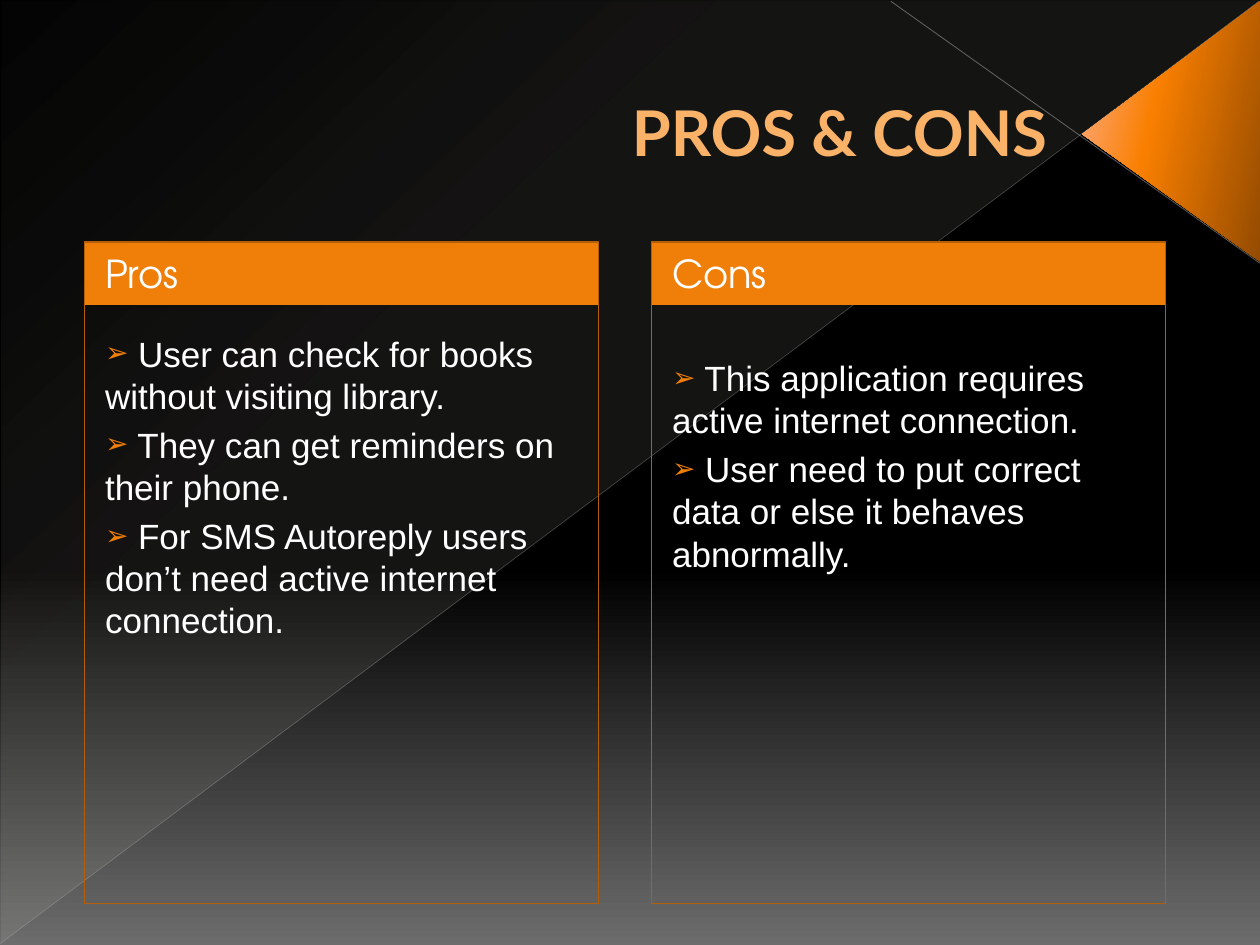
from lxml.etree import SubElement
from pptx import Presentation
from pptx.dml.color import RGBColor
from pptx.enum.shapes import MSO_CONNECTOR as Connector, MSO_SHAPE as Shape
from pptx.enum.text import MSO_ANCHOR as Anchor, PP_ALIGN as Align
from pptx.oxml.ns import qn
from pptx.util import Pt

ORANGE = "F07F09"
WHITE = "FFFFFF"
PANEL_TOP = 138.24
PANEL_WIDTH = 293.76
PANEL_HEIGHT = 378
BAND_HEIGHT = 36
TEXT_INSET = 11.8

PANELS = [
    (48.24, "Pros", 51.7, [
        " User can check for books without visiting library.",
        " They can get reminders on their phone.",
        " For SMS Autoreply users don’t need active internet connection.",
    ]),
    (372.24, "Cons", 65.7, [
        " This application requires active internet connection.",
        " User need to put correct data or else it behaves abnormally.",
    ]),
]


def color(hex_value):
    return RGBColor.from_string(hex_value)


def apply(target, values):
    for name, value in values.items():
        setattr(target, name, value)


def add_color(parent, hex_value, opacity=100):
    srgb = SubElement(parent, qn("a:srgbClr"), val=hex_value)
    if opacity < 100:
        SubElement(srgb, qn("a:alpha"), val=str(opacity * 1000))


def fill_gradient(fill, owner, stops, angle):
    fill.gradient()
    fill.gradient_angle = 360 - angle
    stop_list = owner.find(".//" + qn("a:gsLst"))
    for old_stop in list(stop_list):
        stop_list.remove(old_stop)
    for position, hex_value, opacity in stops:
        stop = SubElement(stop_list, qn("a:gs"), pos=str(position * 1000))
        add_color(stop, hex_value, opacity)


def add_block(slide, kind, box, fill=None, line=None):
    block = slide.shapes.add_shape(kind, *map(Pt, box))
    block.shadow.inherit = False
    if fill:
        block.fill.solid()
        block.fill.fore_color.rgb = color(fill)
    else:
        block.fill.background()
    if line:
        block.line.color.rgb = color(line)
        block.line.width = Pt(0.75)
    else:
        block.line.fill.background()
    return block


def add_facet(slide, kind, box, stops, angle, rotation=0):
    facet = add_block(slide, kind, box)
    facet.rotation = rotation
    facet._element.spPr.find(qn("a:xfrm")).set("flipV", "1")
    fill_gradient(facet.fill, facet._element, stops, angle)
    return facet


def add_ray(slide, ends, hex_value, width, opacity):
    ray = slide.shapes.add_connector(Connector.STRAIGHT, *map(Pt, ends))
    ray.line.width = Pt(width)
    ray.line.color.rgb = color(hex_value)
    properties = ray._element.spPr
    srgb = properties.find(".//" + qn("a:srgbClr"))
    SubElement(srgb, qn("a:alpha"), val=str(opacity * 1000))
    SubElement(properties, qn("a:effectLst"))


def add_title(slide, words):
    title = slide.shapes.title
    slide.shapes._spTree.append(title._element)
    apply(title, {"left": Pt(23.76), "top": Pt(41.76),
                  "width": Pt(581.76), "height": Pt(66.24)})
    title.text_frame.vertical_anchor = Anchor.MIDDLE
    paragraph = title.text_frame.paragraphs[0]
    paragraph.alignment = Align.RIGHT
    run = paragraph.add_run()
    run.text = words
    properties = run._r.get_or_add_rPr()
    outline = SubElement(properties, qn("a:ln"), w=str(Pt(0.5)))
    add_color(SubElement(outline, qn("a:solidFill")), "A65806")
    apply(run.font, {"name": "Lato", "size": Pt(36), "bold": True})
    run.font.color.rgb = color("F9B268")
    properties.insert(0, outline)


def add_bullet(paragraph):
    properties = paragraph._p.get_or_add_pPr()
    properties.set("marL", "0")
    properties.set("indent", "0")
    add_color(SubElement(properties, qn("a:buClr")), ORANGE)
    SubElement(properties, qn("a:buSzPct"), val="80000")
    SubElement(properties, qn("a:buFont"), typeface="Arial")
    SubElement(properties, qn("a:buChar"), char="➢")


def write_lines(block, lines, font_name, size, top, anchor, bulleted=False):
    frame = block.text_frame
    apply(frame, {"word_wrap": True, "vertical_anchor": anchor,
                  "margin_left": Pt(TEXT_INSET), "margin_right": Pt(7.2),
                  "margin_top": Pt(top), "margin_bottom": Pt(0)})
    for index, words in enumerate(lines):
        paragraph = frame.add_paragraph() if index else frame.paragraphs[0]
        paragraph.alignment = Align.LEFT
        if bulleted:
            apply(paragraph, {"line_spacing": Pt(24), "space_after": Pt(4)})
            add_bullet(paragraph)
        run = paragraph.add_run()
        run.text = words
        apply(run.font, {"name": font_name, "size": Pt(size)})
        run.font.color.rgb = color(WHITE)


def add_panel(slide, left, heading, text_top, points):
    band = add_block(slide, Shape.RECTANGLE,
                     (left, PANEL_TOP, PANEL_WIDTH, BAND_HEIGHT), fill=ORANGE)
    write_lines(band, [heading], "TeX Gyre Adventor", 22, 0, Anchor.MIDDLE)
    frame = add_block(slide, Shape.RECTANGLE,
                      (left, PANEL_TOP, PANEL_WIDTH, PANEL_HEIGHT), line="B45F07")
    write_lines(frame, points, "Arial", 20, text_top, Anchor.TOP, bulleted=True)


def add_backdrop(slide):
    fill_gradient(slide.background.fill, slide._element,
                  [(0, "000000", 100), (60, "000000", 100), (100, "6C6C6C", 100)], 90)
    add_facet(slide, Shape.RIGHT_TRIANGLE, (0.72, 0.72, 719.28, 538.56),
              [(0, "E3DED1", 10), (70, "E3DED1", 8), (100, "E3DED1", 1)], 133)
    corner = add_facet(slide, Shape.ISOSCELES_TRIANGLE, (594.72, 24.48, 149.04, 101.52),
                       [(0, "944B00", 100), (60, "F97F00", 100), (100, "FFAE8D", 100)],
                       258, rotation=90)
    corner.adjustments[0] = 0.51
    add_ray(slide, (720, 150.48, 509.04, 0.72), "BFBFBF", 0.47, 45)
    add_ray(slide, (0, 539.28, 719.28, 0.72), "B6B6B6", 0.39, 35)


def main():
    deck = Presentation()
    apply(deck, {"slide_width": Pt(720), "slide_height": Pt(540)})
    slide = deck.slides.add_slide(deck.slide_layouts[5])
    add_backdrop(slide)
    add_title(slide, "PROS & CONS")
    for panel in PANELS:
        add_panel(slide, *panel)
    deck.save("out.pptx")


if __name__ == "__main__":
    main()
